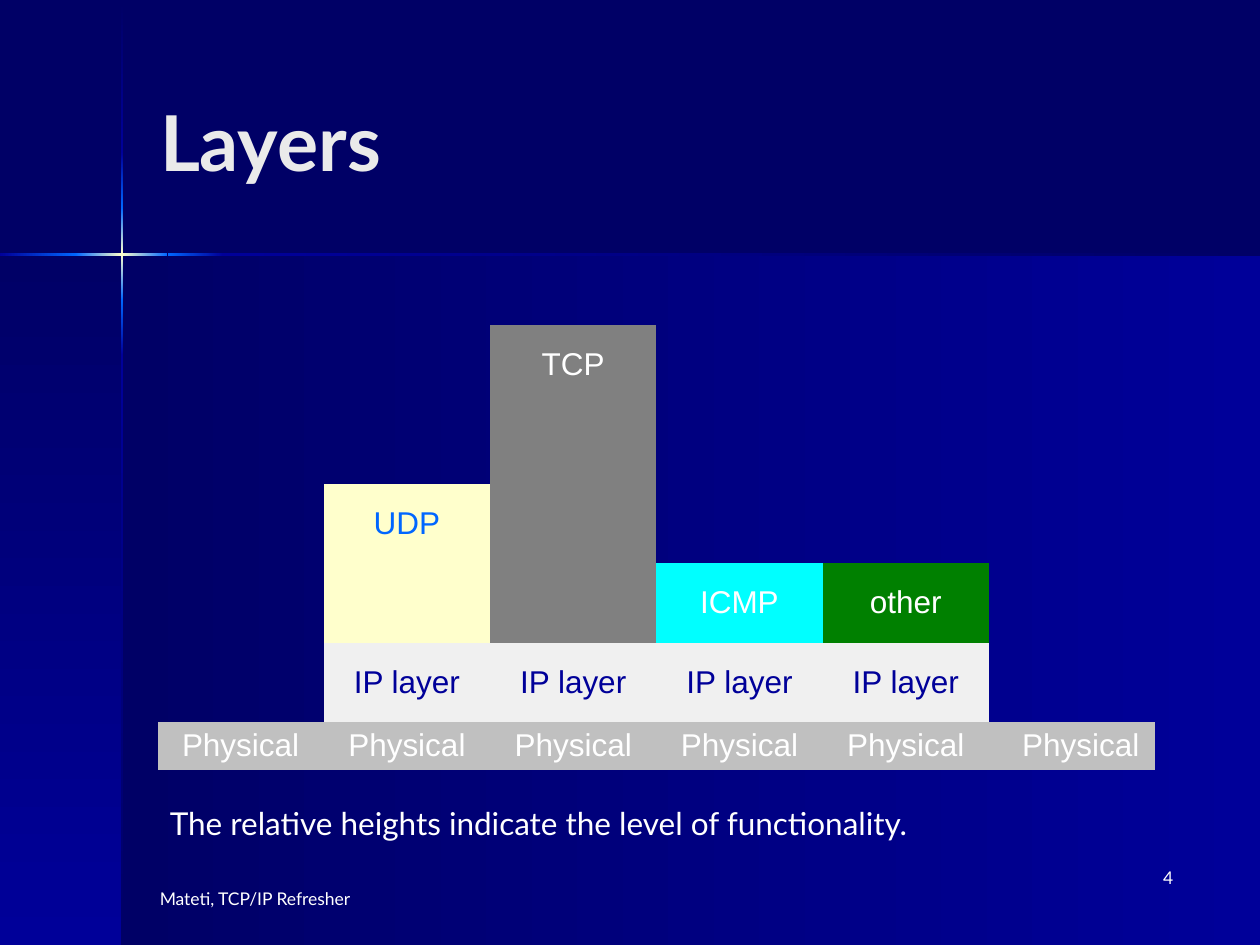
from copy import deepcopy
from pptx import Presentation
from pptx.dml.color import RGBColor
from pptx.enum.shapes import MSO_SHAPE
from pptx.enum.text import MSO_ANCHOR, MSO_AUTO_SIZE, PP_ALIGN
from pptx.oxml.ns import qn
from pptx.util import Inches, Pt

RECT = MSO_SHAPE.RECTANGLE
TOP, MIDDLE = MSO_ANCHOR.TOP, MSO_ANCHOR.MIDDLE
LEFT, CENTER, RIGHT = PP_ALIGN.LEFT, PP_ALIGN.CENTER, PP_ALIGN.RIGHT
FIXED = MSO_AUTO_SIZE.NONE

THEME = {
    "dark": "000066", "navy": "000099", "blue": "0066FF",
    "cream": "FFFFCC", "white": "FFFFFF", "pale": "EAEAEA",
    "gray": "808080", "cyan": "00FFFF", "green": "008000",
    "light": "F0F0F0", "silver": "C0C0C0",
    "head": {"name": "Lato", "size": Pt(44), "bold": True},
    "body": {"name": "Lato", "size": Pt(18), "bold": False},
    "small": {"name": "Lato", "size": Pt(10), "bold": False},
    "cell": {"name": "Arial", "size": Pt(18), "bold": False},
}
DOWN, BACK = 270, 180
NO_STYLE = "{2D5ABB26-0587-4C30-8999-92F81FD0307C}"


def color(name):
    return RGBColor.from_string(THEME[name])


def write(frame, text, look, tint, align):
    para = frame.paragraphs[0]
    para.alignment = align
    run = para.add_run()
    run.text = text
    for key, value in THEME[look].items():
        setattr(run.font, key, value)
    run.font.color.rgb = color(tint)


deck = Presentation()
deck.slide_width, deck.slide_height = Inches(10), Inches(7.5)
slide = deck.slides.add_slide(deck.slide_layouts[5])
slide.background.fill.solid()
slide.background.fill.fore_color.rgb = color("dark")

panels = [
    (0.97, 2.02, 9.03, 5.48, BACK, "navy dark"),
    (0, 2.02, 0.97, 5.48, DOWN, "dark navy"),
    (0.96, 0.01, 0.02, 1.2, DOWN, "dark navy"),
    (0.96, 2.82, 0.02, 4.68, DOWN, "navy dark"),
    (1.77, 2.01, 8.23, 0.02, BACK, "dark navy"),
    (0.96, 2.38, 0.02, 0.44, DOWN, "blue navy"),
    (0.96, 1.21, 0.02, 0.44, DOWN, "navy blue"),
    (0.96, 1.65, 0.02, 0.73, DOWN, "blue cream blue"),
    (0, 2.01, 0.61, 0.02, BACK, "blue navy"),
    (1.33, 2.01, 0.44, 0.02, BACK, "navy blue"),
    (0.6, 2.01, 0.73, 0.02, BACK, "blue cream blue"),
]
for *box, angle, names in panels:
    panel = slide.shapes.add_shape(RECT, *map(Inches, box))
    panel.shadow.inherit = False
    panel.line.fill.background()
    panel.fill.gradient()
    panel.fill.gradient_angle = angle
    tints = names.split()
    if len(tints) == 3:
        first = next(panel._element.iter(qn("a:gs")))
        first.addnext(deepcopy(first))
    for i, (stop, tint) in enumerate(zip(panel.fill.gradient_stops, tints)):
        stop.position = i / (len(tints) - 1)
        stop.color.rgb = color(tint)

stacks = [
    [],
    [("UDP", "blue", "cream", 2)],
    [("TCP", "white", "gray", 4)],
    [("ICMP", "white", "cyan", 1)],
    [("other", "white", "green", 1)],
    [],
]
rows, cols = 6, len(stacks)
holder = slide.shapes.add_table(
    rows, cols, Inches(1.25), Inches(2.58), Inches(7.92), Inches(3.53))
table = holder.table
table.first_row = table.horz_banding = False
next(table._tbl.iter(qn("a:tableStyleId"))).text = NO_STYLE
for row in table.rows:
    row.height = Inches(0.63)
table.rows[rows - 1].height = Inches(0.38)
for cell in table.iter_cells():
    cell.fill.background()
    cell.vertical_anchor = MIDDLE

for col, stack in enumerate(stacks):
    table.columns[col].width = Inches(1.32)
    base = [("IP layer", "navy", "light", 1)] if stack else []
    label = "\u00a0 Physical" if col == cols - 1 else "Physical"
    level = rows
    for text, tint, fill, height in [(label, "white", "silver", 1)] + base + stack:
        level -= height
        for row in range(level, level + height):
            cell = table.cell(row, col)
            cell.fill.solid()
            cell.fill.fore_color.rgb = color(fill)
        write(table.cell(level, col).text_frame, text, "cell", tint, CENTER)

title = slide.shapes.title
title.left, title.top = Inches(1.17), Inches(0.33)
title.width, title.height = Inches(8.25), Inches(1.57)
title.text_frame.auto_size = FIXED
title.text_frame.vertical_anchor = MIDDLE
write(title.text_frame, "Layers", "head", "pale", LEFT)

notes = [
    (1.25, 6.33, 7.77, 0.4, "body", LEFT,
     "The relative heights indicate the level of functionality."),
    (1.17, 7, 2.67, 0.5, "small", LEFT, "Mateti, TCP/IP Refresher"),
    (7.33, 6.83, 2.08, 0.5, "small", RIGHT, "4"),
]
for *box, look, align, text in notes:
    frame = slide.shapes.add_textbox(*map(Inches, box)).text_frame
    frame.word_wrap = True
    frame.vertical_anchor = TOP
    write(frame, text, look, "white", align)

deck.save("out.pptx")
